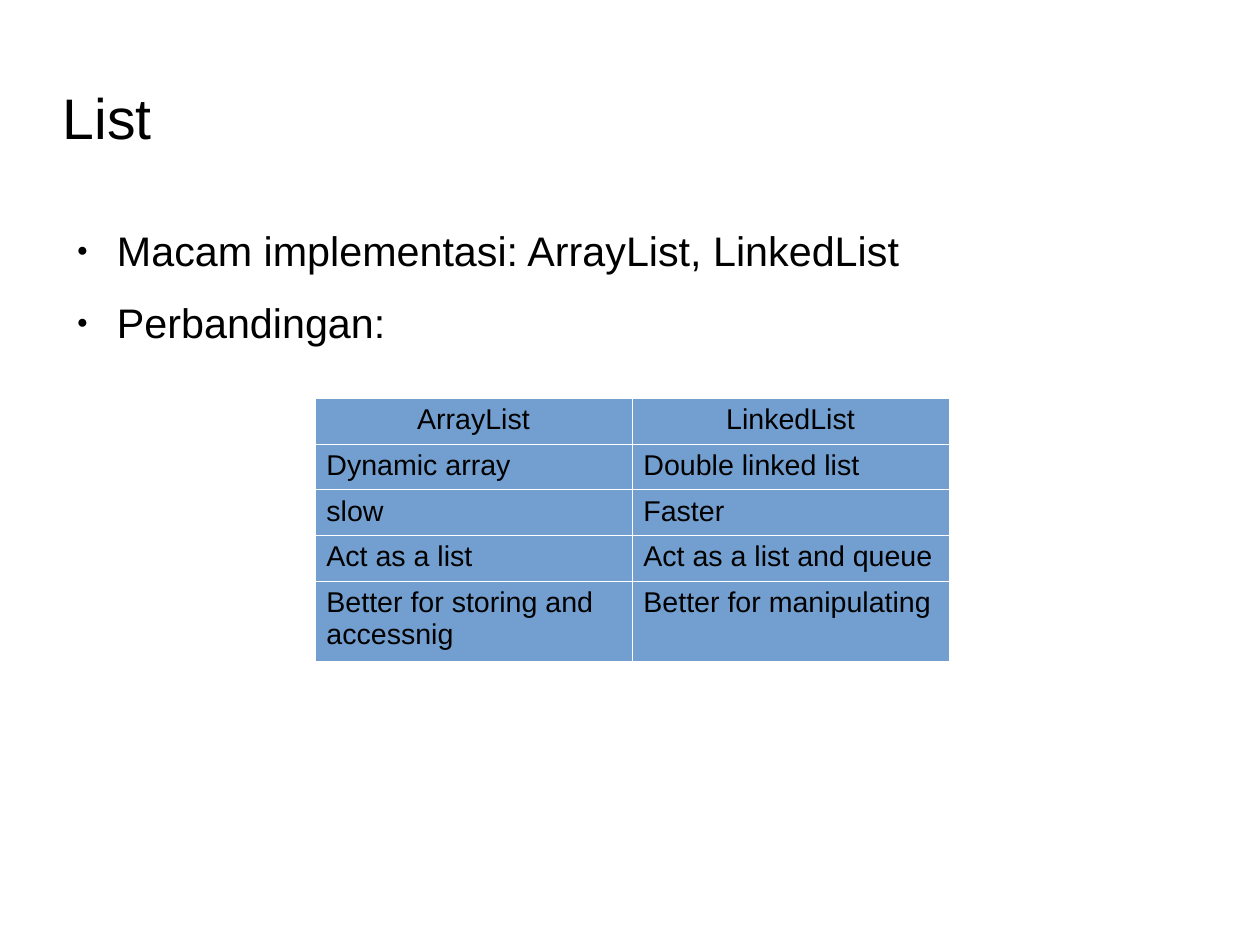
from dataclasses import dataclass

from lxml import etree
from pptx import Presentation
from pptx.dml.color import RGBColor
from pptx.enum import text
from pptx.oxml import ns
from pptx.util import Emu, Pt

FONT, BLACK, WHITE, BLUE = "Arial", "000000", "FFFFFF", "729FCF"
ROWS = [
    ("ArrayList", "LinkedList"),
    ("Dynamic array", "Double linked list"),
    ("slow", "Faster"),
    ("Act as a list", "Act as a list and queue"),
    ("Better for storing and accessnig", "Better for manipulating"),
]
HEIGHTS = [44] * 4 + [75]


@dataclass
class Block:
    """A text block with its box in px and its type size in points."""
    box: tuple[int, int, int, int]
    lines: list[str]
    size: int
    anchor: text.MSO_ANCHOR
    listed: bool = False


BLOCKS = [
    Block((63, 72, 900, 90), ["List"], 36, text.MSO_ANCHOR.MIDDLE),
    Block((63, 225, 1134, 547),
          ["Macam implementasi: ArrayList, LinkedList", "Perbandingan:"],
          26, text.MSO_ANCHOR.TOP, True),
]


def px(n: int) -> Emu:
    """Turn px into EMU."""
    return Emu(n * 8000)


def color(code: str) -> RGBColor:
    """Turn a hex string into a colour."""
    return RGBColor.from_string(code)


def add(parent, tag: str, **attrs: str):
    """Append a DrawingML element."""
    return etree.SubElement(parent, ns.qn(f"a:{tag}"), attrs)


def style(para, size: int) -> None:
    """Set the font of a paragraph."""
    font = para.font
    font.name, font.size = FONT, Pt(size)
    font.color.rgb = color(BLACK)


def bullet(para) -> None:
    """Give a paragraph a small round bullet and a hanging indent."""
    para.space_after = Pt(14.2)
    props = para._p.get_or_add_pPr()
    props.set("marL", str(px(54)))
    props.set("indent", str(px(-40)))
    add(add(props, "buClr"), "srgbClr", val=BLACK)
    add(props, "buSzPct", val="45000")
    add(props, "buFont", typeface=FONT)
    add(props, "buChar", char="●")


def write(slide, block: Block) -> None:
    """Draw a text block."""
    frame = slide.shapes.add_textbox(*map(px, block.box)).text_frame
    frame.word_wrap = True
    frame.vertical_anchor = block.anchor
    frame.margin_left = frame.margin_right = 0
    frame.margin_top = frame.margin_bottom = 0
    frame.text = "\n".join(block.lines)
    for para in frame.paragraphs:
        if block.listed:
            bullet(para)
        style(para, block.size)


def border(cell) -> None:
    """Draw thin white lines around a cell."""
    props = cell._tc.get_or_add_tcPr()
    for i, side in enumerate(("lnL", "lnR", "lnT", "lnB")):
        line = etree.Element(ns.qn(f"a:{side}"), w="762")
        add(add(line, "solidFill"), "srgbClr", val=WHITE)
        props.insert(i, line)


def grid(slide) -> None:
    """Draw the comparison table."""
    box = map(px, (315, 398, 634, sum(HEIGHTS)))
    table = slide.shapes.add_table(len(ROWS), 2, *box).table
    table.first_row = table.horz_banding = False
    for r, (row, high) in enumerate(zip(ROWS, HEIGHTS)):
        table.rows[r].height = px(high)
        for c, word in enumerate(row):
            cell = table.cell(r, c)
            cell.text = word
            cell.fill.solid()
            cell.fill.fore_color.rgb = color(BLUE)
            border(cell)
            para = cell.text_frame.paragraphs[0]
            style(para, 18)
            if r == 0:
                para.alignment = text.PP_ALIGN.CENTER


def main() -> None:
    """Build the slide and save it."""
    deck = Presentation()
    deck.slide_width, deck.slide_height = px(1260), px(945)
    slide = deck.slides.add_slide(deck.slide_layouts[6])
    for block in BLOCKS:
        write(slide, block)
    grid(slide)
    deck.save("out.pptx")


if __name__ == "__main__":
    main()
